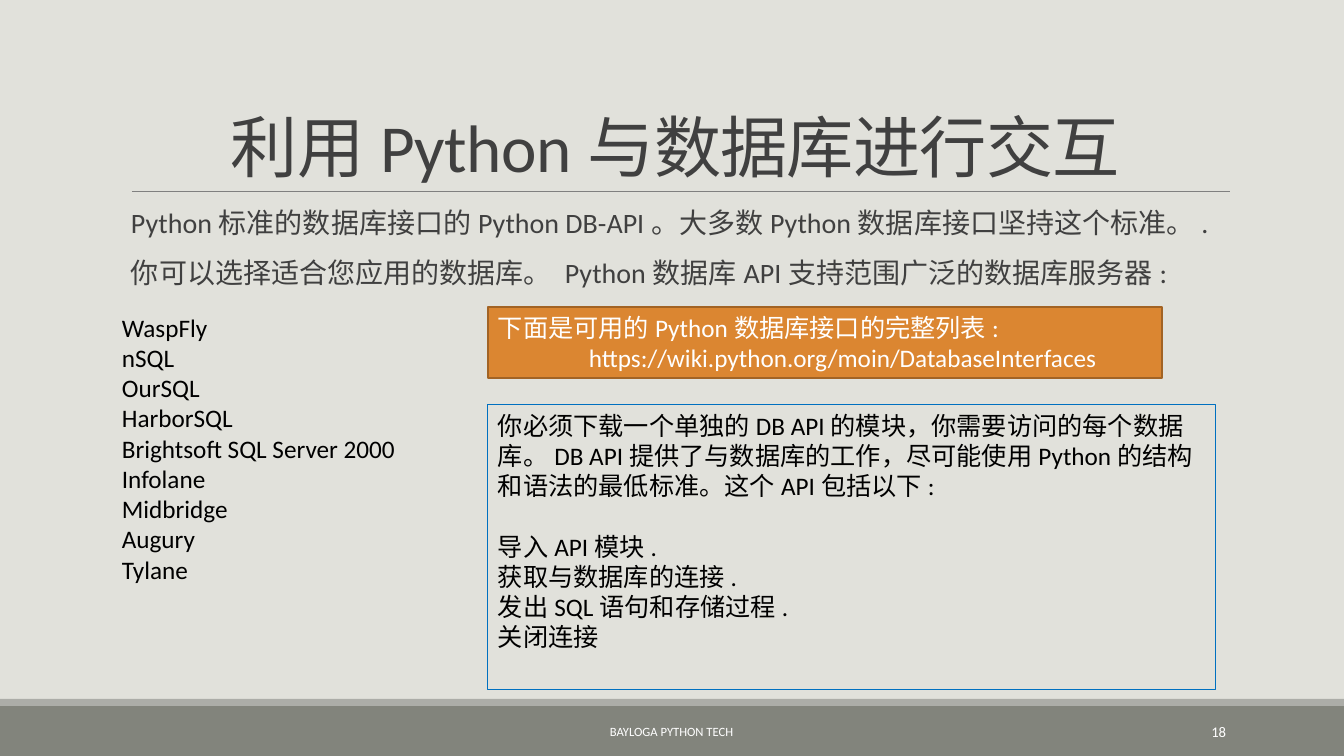
from pptx import Presentation
from pptx.dml.color import RGBColor
from pptx.enum.shapes import MSO_CONNECTOR, MSO_SHAPE
from pptx.enum.text import MSO_ANCHOR, MSO_AUTO_SIZE, PP_ALIGN
from pptx.oxml.ns import qn
from pptx.util import Pt
from lxml import etree

RECTANGLE, STRAIGHT = MSO_SHAPE.RECTANGLE, MSO_CONNECTOR.STRAIGHT
TOP, MIDDLE, BOTTOM = MSO_ANCHOR.TOP, MSO_ANCHOR.MIDDLE, MSO_ANCHOR.BOTTOM
LEFT, CENTER, RIGHT = PP_ALIGN.LEFT, PP_ALIGN.CENTER, PP_ALIGN.RIGHT
NO_AUTOFIT = MSO_AUTO_SIZE.NONE

FONT = "Calibri"
COLORS = {
    "background": "E1E1DB", "footer": "82847C", "footer edge": "ACADA8",
    "rule": "808080", "heading": "404040", "text": "000000", "white": "FFFFFF",
    "orange": "DB8631", "orange edge": "A26324", "blue": "0070C0",
}
EMU_PER_PX = 914400 / 100.8

TITLE = "利用Python与数据库进行交互"
INTRODUCTION = [
    "Python标准的数据库接口的Python DB-API。大多数Python数据库接口坚持这个标准。.",
    "你可以选择适合您应用的数据库。 Python数据库API支持范围广泛的数据库服务器:",
]
DATABASES = ["WaspFly", "nSQL", "OurSQL", "HarborSQL", "Brightsoft SQL Server 2000",
             "Infolane", "Midbridge", "Augury", "Tylane"]
INTERFACE_LIST = ["下面是可用的Python数据库接口的完整列表:",
                  "https://wiki.python.org/moin/DatabaseInterfaces"]
API_STEPS = [
    "你必须下载一个单独的DB API的模块，你需要访问的每个数据库。DB API提供了与数据库的工作，"
    "尽可能使用Python的结构和语法的最低标准。这个API包括以下:",
    "导入API模块.", "获取与数据库的连接.", "发出SQL语句和存储过程.", "关闭连接",
]


def px(length):
    return round(length * EMU_PER_PX)


def rgb(name):
    return RGBColor.from_string(COLORS[name])


def place(shape, box):
    shape.left, shape.top, shape.width, shape.height = map(px, box)


def write(shape, lines, size, color, align=LEFT, anchor=TOP):
    frame = shape.text_frame
    frame.text = "\n".join(lines)
    frame.word_wrap = True
    frame.auto_size = NO_AUTOFIT
    frame.vertical_anchor = anchor
    for paragraph in frame.paragraphs:
        paragraph.alignment = align
        for run in paragraph.runs:
            run.font.name = FONT
            run.font.size = Pt(size)
            run.font.color.rgb = rgb(color)
    return frame


def add_rectangle(slide, box, fill=None, line=None, line_width=1):
    shape = slide.shapes.add_shape(RECTANGLE, *map(px, box))
    shape.shadow.inherit = False
    if fill:
        shape.fill.solid()
        shape.fill.fore_color.rgb = rgb(fill)
    else:
        shape.fill.background()
    if line:
        shape.line.color.rgb = rgb(line)
        shape.line.width = Pt(line_width)
    else:
        shape.line.fill.background()
    return shape


def add_text(slide, box, *text, **options):
    return write(slide.shapes.add_textbox(*map(px, box)), *text, **options)


def add_footer(slide, box):
    left, top, width, height = box
    edge = 7
    add_rectangle(slide, (left, top + edge, width, height - edge), "footer")
    add_rectangle(slide, (left, top, width, edge), "footer edge")
    add_text(slide, (left + 406, top + 13, 531, 40), ["BAYLOGA PYTHON TECH"],
             9, "white", align=CENTER, anchor=MIDDLE)
    add_text(slide, (left + 1092, top + 13, 144, 40), ["18"],
             10.5, "white", align=RIGHT, anchor=MIDDLE)


def add_heading(slide, box):
    left, top, width, height = box
    # Rule below the title
    bottom = top + height
    rule = slide.shapes.add_connector(
        STRAIGHT, px(left + 11), px(bottom), px(left + width), px(bottom))
    rule.line.color.rgb = rgb("rule")
    rule.line.width = Pt(0.5)
    etree.SubElement(rule._element.spPr, qn("a:effectLst"))
    # Title
    title = slide.shapes.title
    place(title, box)
    frame = write(title, [TITLE], 48, "heading", align=CENTER, anchor=BOTTOM)
    paragraph = frame.paragraphs[0]
    paragraph.line_spacing = 0.85
    paragraph.runs[0].font._element.set("spc", "-50")


def add_introduction(slide, box):
    body = slide.placeholders[1]
    place(body, box)
    frame = write(body, INTRODUCTION, 20, "heading")
    frame.margin_left = frame.margin_right = 0
    frame.margin_top = frame.margin_bottom = px(5)
    for paragraph in frame.paragraphs:
        paragraph.line_spacing = 0.9
        paragraph.space_before, paragraph.space_after = Pt(12), Pt(2)
        properties = paragraph._p.get_or_add_pPr()
        properties.set("marL", str(px(10)))
        properties.set("indent", "0")
        etree.SubElement(properties, qn("a:buNone"))


def add_details(slide, box):
    left, top, width, height = box
    column = left + 376
    # Supported databases
    add_text(slide, (left, top, 589, 316), DATABASES, 18, "text")
    # Link to the interface list
    link_box = add_rectangle(slide, (column, top, 674, 71), "orange", "orange edge", 1.25)
    link = write(link_box, INTERFACE_LIST, 18, "white").paragraphs[1]
    link._p.get_or_add_pPr().set("marL", str(px(91)))
    # Steps of the API
    steps_top = top + 98
    steps_box = add_rectangle(
        slide, (column, steps_top, left + width - column, top + height - steps_top),
        line="blue", line_width=0.75)
    steps = write(steps_box, API_STEPS, 18, "text")
    steps.paragraphs[1].space_before = Pt(21.6)


def main():
    presentation = Presentation()
    presentation.slide_width, presentation.slide_height = px(1344), px(756)
    slide = presentation.slides.add_slide(presentation.slide_layouts[1])
    slide.background.fill.solid()
    slide.background.fill.fore_color.rgb = rgb("background")
    add_footer(slide, (0, 699, 1344, 57))
    add_heading(slide, (121, 31, 1109, 160))
    add_introduction(slide, (121, 204, 1109, 112))
    add_details(slide, (112, 307, 1104, 383))
    presentation.save("out.pptx")


if __name__ == "__main__":
    main()
